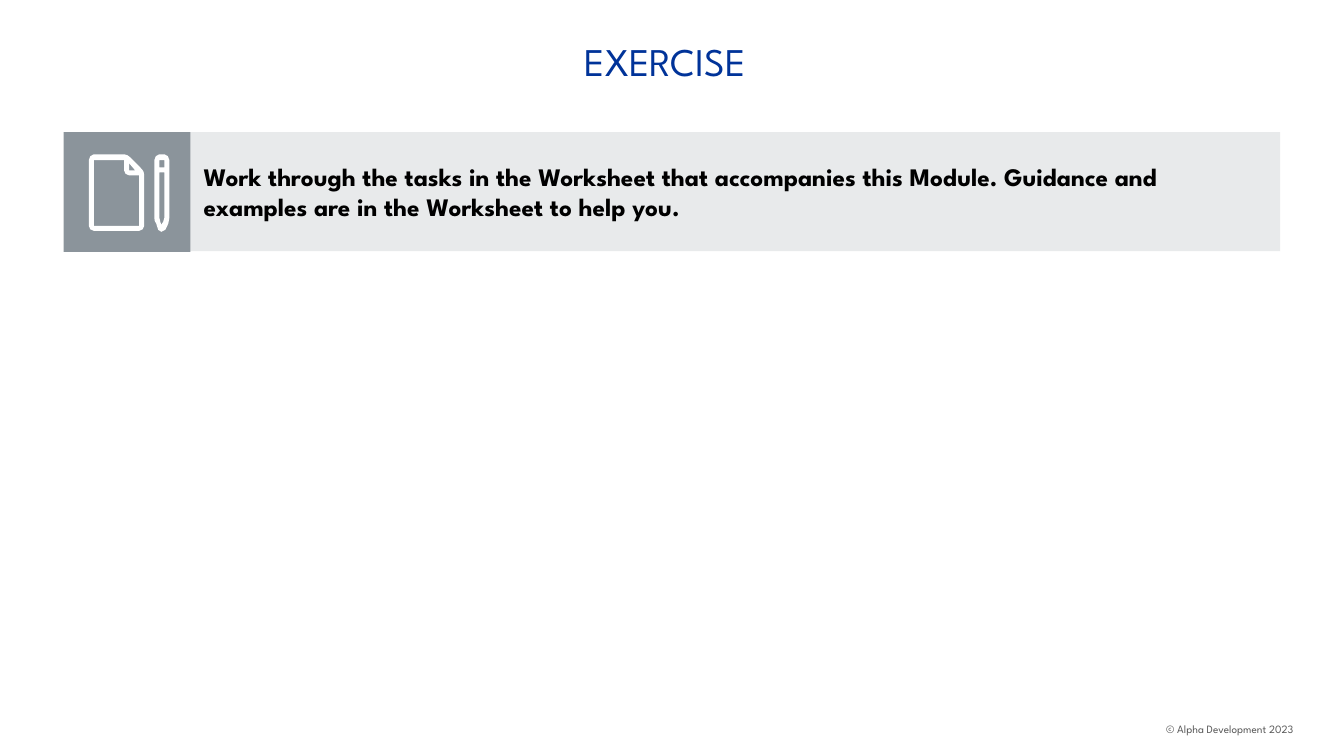
from pptx import Presentation
from pptx.dml.color import RGBColor
from pptx.enum.shapes import MSO_SHAPE
from pptx.enum.text import MSO_ANCHOR, PP_ALIGN
from pptx.util import Pt

RECTANGLE = MSO_SHAPE.RECTANGLE
TOP, MIDDLE = MSO_ANCHOR.TOP, MSO_ANCHOR.MIDDLE
LEFT, CENTER = PP_ALIGN.LEFT, PP_ALIGN.CENTER

PAGE_CONTOURS = [
    [(63.4, 161.3), (64.5, 163.8), (67, 164.9), (99.4, 164.9), (101.9, 163.8),
     (103, 161.3), (103, 125.3), (102.6, 122.8), (101.5, 121), (92.9, 112.3),
     (91, 110.9), (88.6, 110.2), (67, 110.2), (64.5, 111.6), (63.4, 114.5)],
    [(96.5, 121.7), (92.2, 121.7), (92.2, 116.6)],
    [(67, 114.5), (88.6, 114.5), (88.6, 121.7), (89.7, 124.2), (92.2, 125.3),
     (99.4, 125.3), (99.4, 161.3), (67, 161.3)],
]
PENCIL_CONTOURS = [
    [(117.4, 110.2), (113.8, 110.2), (111.3, 111.6), (110.2, 114.5),
     (110.2, 155.5), (110.5, 157.7), (111.6, 159.8), (113, 164.2),
     (115.2, 165.6), (118.1, 164.2), (120.2, 159.8), (121, 155.5),
     (121, 114.5), (119.9, 111.6)],
    [(117.4, 114.5), (117.4, 119.5), (113.8, 119.5), (113.8, 114.5)],
    [(116.6, 158.4), (115.2, 160.6), (114.5, 158.4), (113.8, 155.5),
     (113.8, 123.1), (117.4, 123.1), (117.4, 155.5)],
]


def color(value):
    """Turn a hex string into a colour."""
    return RGBColor.from_string(value)


class SlideBuilder:
    """Draw elements on one slide in a shared style."""

    def __init__(self, slide, font):
        """Keep the slide and its typeface."""
        self.shapes = slide.shapes
        self.font = font

    def set_text(self, shape, text, size, ink, bold=False, align=LEFT,
                 anchor=TOP, inset=7.2, wrap=True):
        """Put formatted text into a shape."""
        frame = shape.text_frame
        frame.word_wrap = wrap
        frame.vertical_anchor = anchor
        frame.margin_left = frame.margin_right = Pt(inset)
        paragraph = frame.paragraphs[0]
        paragraph.text = text
        paragraph.alignment = align
        font = paragraph.font
        font.name, font.size, font.bold = self.font, Pt(size), bold
        font.color.rgb = color(ink)

    def paint(self, shape, fill):
        """Give a shape a plain fill without line or shadow."""
        shape.shadow.inherit = False
        shape.fill.solid()
        shape.fill.fore_color.rgb = color(fill)
        shape.line.fill.background()
        return shape

    def label(self, box, text, **style):
        """Add a text box."""
        self.set_text(self.shapes.add_textbox(*map(Pt, box)), text, **style)

    def panel(self, box, fill):
        """Add a filled rectangle."""
        return self.paint(self.shapes.add_shape(RECTANGLE, *map(Pt, box)), fill)

    def outline(self, contours, fill):
        """Add a shape whose inner contours are holes."""
        first, *holes = [[(Pt(x), Pt(y)) for x, y in points] for points in contours]
        builder = self.shapes.build_freeform(*first[0])
        builder.add_line_segments(first[1:], close=True)
        for hole in holes:
            builder.move_to(*hole[0])
            builder.add_line_segments(hole[1:], close=True)
        return self.paint(builder.convert_to_shape(), fill)


def main():
    """Build and save the exercise slide."""
    deck = Presentation()
    deck.slide_width, deck.slide_height = Pt(960), Pt(540)
    builder = SlideBuilder(deck.slides.add_slide(deck.slide_layouts[6]),
                           "League Spartan")
    builder.label((825.8, 512.6, 123.1, 17.3), "© Alpha Development 2023",
                  size=8, ink="595959", wrap=False)
    builder.label((39.6, 20.9, 871.2, 45.4), "EXERCISE", size=28, ink="003399",
                  align=CENTER, anchor=MIDDLE)
    instruction = builder.panel((133.9, 94.3, 780.5, 85), "E8EAEB")
    builder.set_text(
        instruction,
        "Work through the tasks in the Worksheet that accompanies this Module. "
        "Guidance and examples are in the Worksheet to help you.",
        size=18, ink="000000", bold=True, anchor=MIDDLE, inset=11.5)
    builder.panel((45.4, 94.3, 90.7, 85.7), "8B949B")
    for contours in (PAGE_CONTOURS, PENCIL_CONTOURS):
        builder.outline(contours, "FFFFFF")
    deck.save("out.pptx")


if __name__ == "__main__":
    main()
